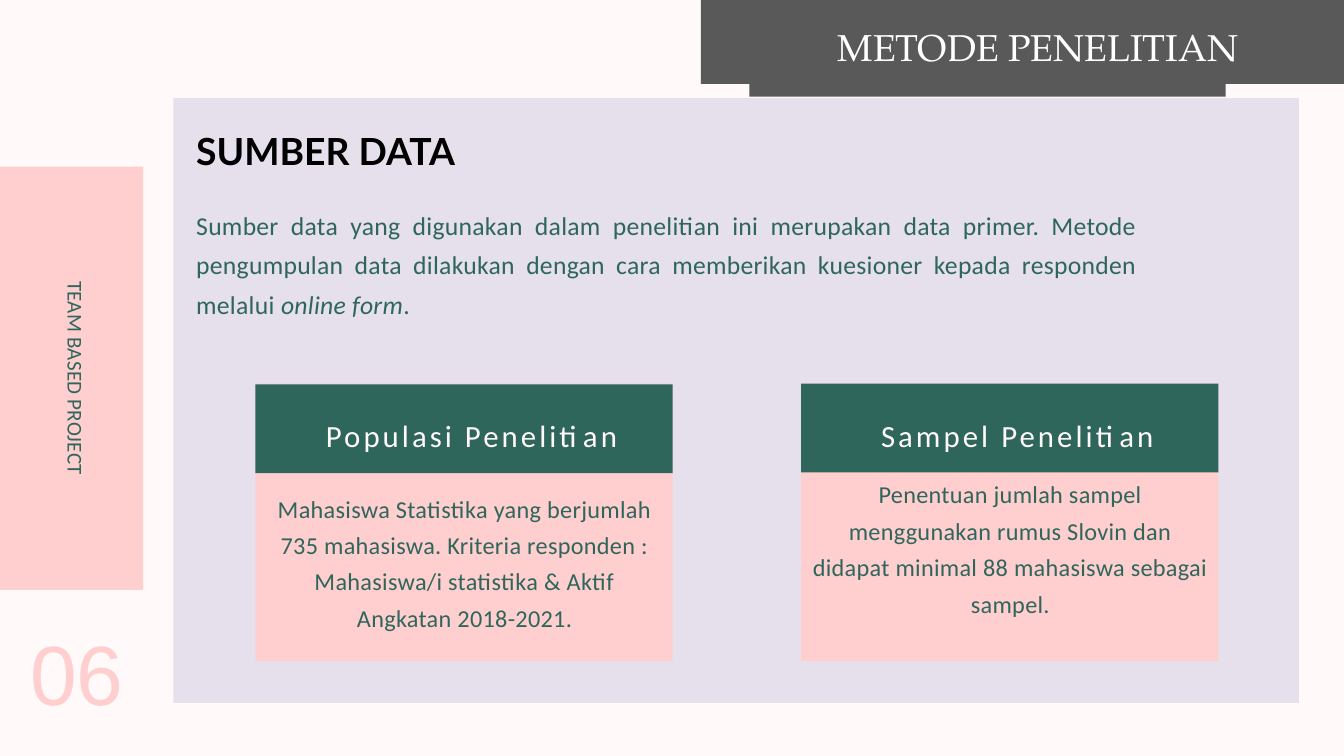
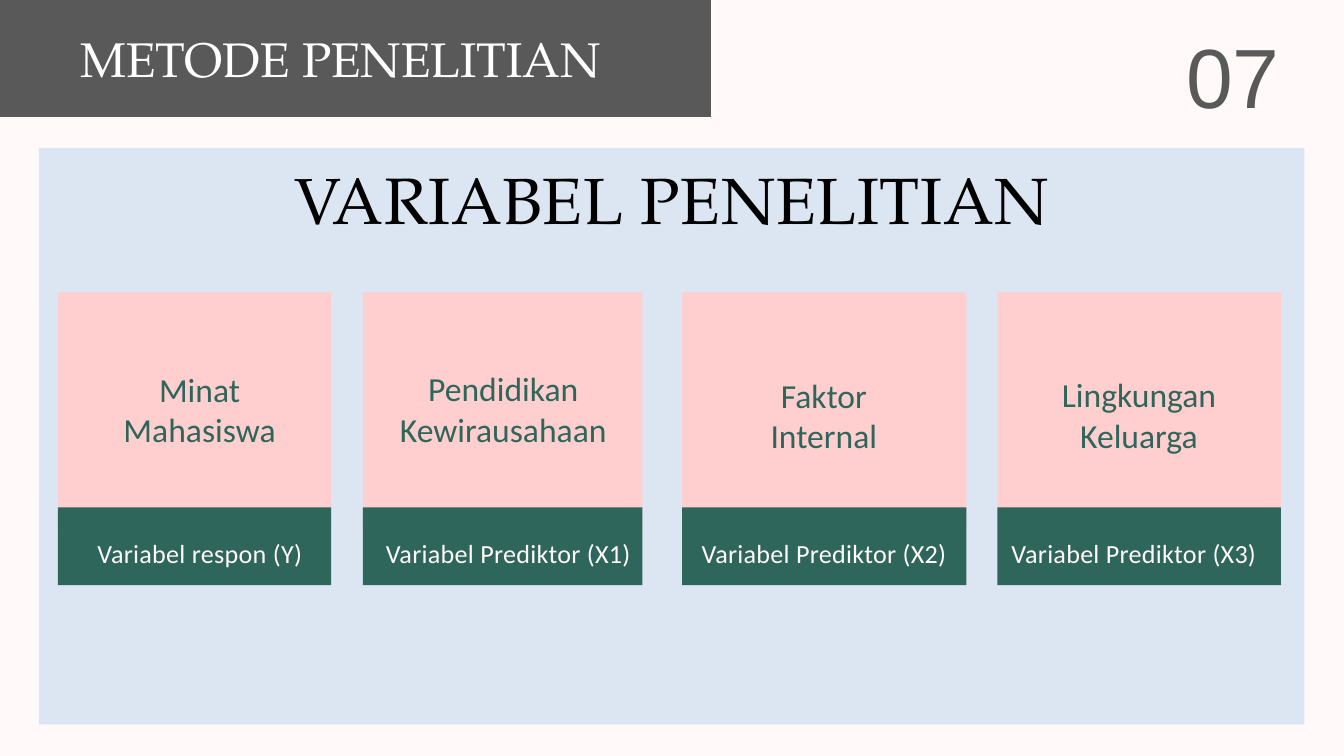
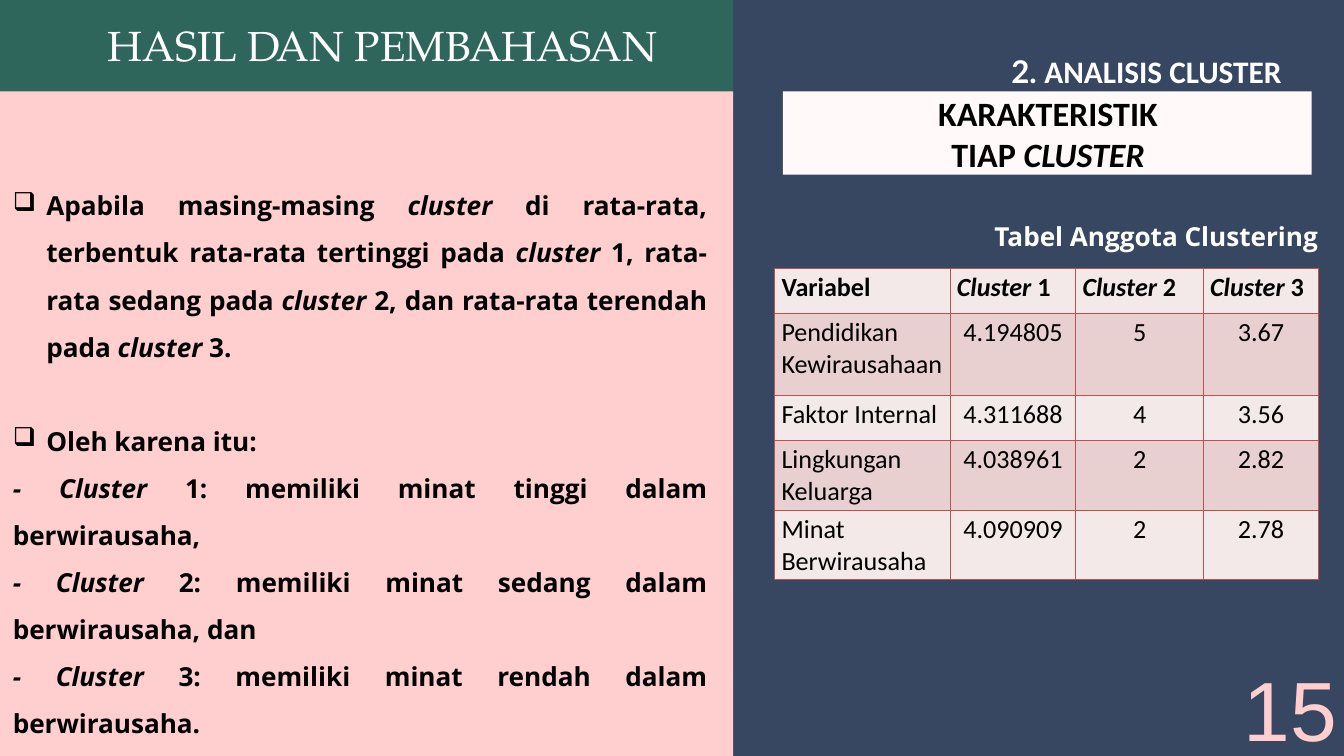
from lxml.etree import SubElement
from pptx import Presentation
from pptx.dml.color import RGBColor
from pptx.enum.shapes import MSO_SHAPE
from pptx.enum.text import MSO_ANCHOR, MSO_AUTO_SIZE, PP_ALIGN
from pptx.oxml.ns import qn
from pptx.util import Inches, Pt

COLORS = {
    "cream": "FFF9F9", "pink": "FFCECE", "green": "2F665C", "gray": "595959",
    "lilac": "E6E0EC", "sky": "DCE6F2", "navy": "374661", "mist": "C5D4D1",
    "white": "FFFFFF", "black": "000000", "red": "C0504D",
    "light_row": "F4E9E9", "dark_row": "E8D0D0",
}
ALIGN = {"l": PP_ALIGN.LEFT, "c": PP_ALIGN.CENTER, "r": PP_ALIGN.RIGHT, "j": PP_ALIGN.JUSTIFY}
SERIF = "TeX Gyre Pagella"


def color(name):
    return RGBColor.from_string(COLORS[name])


def write(paragraph, text, size=28, font="Calibri", ink="black", bold=False,
          align="l", line=None, before=None, spacing=0, bullet=None):
    """Append text to a paragraph; parts between asterisks become italic."""
    paragraph.alignment = ALIGN[align]
    if line:
        paragraph.line_spacing = line
    if before:
        paragraph.space_before = before
    if bullet:
        properties = paragraph._p.get_or_add_pPr()
        properties.set("marL", str(Inches(0.5)))
        properties.set("indent", str(Inches(-0.5)))
        SubElement(properties, qn("a:buChar")).set("char", bullet)
    for index, part in enumerate(text.split("*")):
        if not part:
            continue
        run = paragraph.add_run()
        run.text = part
        run.font.size, run.font.name = Pt(size), font
        run.font.bold, run.font.italic = bold, index % 2 == 1
        run.font.color.rgb = color(ink)
        if spacing:
            run._r.get_or_add_rPr().set("spc", str(round(spacing * 100)))


class Deck:
    def __init__(self):
        self.presentation = Presentation()
        self.presentation.slide_width = Inches(20)
        self.presentation.slide_height = Inches(11.25)
        self.slide = None

    def new_slide(self, background):
        self.slide = self.presentation.slides.add_slide(self.presentation.slide_layouts[6])
        fill = self.slide.background.fill
        fill.solid()
        fill.fore_color.rgb = color(background)

    def box(self, left, top, width, height, fill):
        shape = self.slide.shapes.add_shape(
            MSO_SHAPE.RECTANGLE, Inches(left), Inches(top), Inches(width), Inches(height))
        shape.shadow.inherit = False
        shape.fill.solid()
        shape.fill.fore_color.rgb = color(fill)
        shape.line.fill.background()

    def text(self, left, top, width, height, lines, margins=(0, 0), grow=True, **style):
        """Each line is a string, or a string with its own extra format."""
        shape = self.slide.shapes.add_textbox(
            Inches(left), Inches(top), Inches(width), Inches(height))
        frame = shape.text_frame
        frame.word_wrap = True
        frame.auto_size = MSO_AUTO_SIZE.SHAPE_TO_FIT_TEXT if grow else MSO_AUTO_SIZE.NONE
        frame.margin_left = frame.margin_right = Inches(margins[0])
        frame.margin_top = frame.margin_bottom = Inches(margins[1])
        for index, entry in enumerate([lines] if isinstance(lines, str) else lines):
            content, extra = (entry, {}) if isinstance(entry, str) else entry
            paragraph = frame.add_paragraph() if index else frame.paragraphs[0]
            write(paragraph, content, **{**style, **extra})
        return shape

    def title(self, left, top, width, height, text, size):
        self.text(left, top, width, height, text, size=size, font=SERIF, ink="white",
                  align="c", line=Pt(63 if size == 45 else 72.8))

    def number(self, left, top, text, ink):
        shape = self.text(left, top, 1.85, 1.2, text, margins=(0.1, 0.1), grow=False,
                          size=90, font="Arial", ink=ink, align="c", line=0.9)
        shape.text_frame.vertical_anchor = MSO_ANCHOR.BOTTOM

    def source_card(self, left, top, heading, body, body_top):
        self.box(left, 5.71, 6.21, 4.13, "pink")
        self.box(left, top, 6.21, 1.32, "green")
        self.text(left + 0.53, 6.15, 5.38, 0.57, heading, size=33, ink="cream",
                  align="c", line=Pt(42.9), spacing=3.3)
        self.text(left + 0.16, body_top, 5.91, 2.15, body, size=26, ink="green",
                  align="c", line=Pt(39), spacing=0.3)

    def variable_card(self, left, width, name, name_left, name_top, label, label_left):
        self.box(left, 4.35, width, 3.54, "pink")
        self.box(left, 7.55, width, 1.16, "green")
        self.text(name_left, name_top, 3.66, 1.31, name, margins=(0.1, 0.05),
                  size=36, ink="green", align="c")
        self.text(label_left, 7.84, 4.23, 0.57, label, size=28, ink="cream",
                  align="c", line=Pt(45), spacing=0.3)

    def table(self, left, top, widths, heights, rows):
        table = self.slide.shapes.add_table(
            len(rows), len(widths), Inches(left), Inches(top),
            Inches(sum(widths)), Inches(sum(heights))).table
        table.first_row = table.horz_banding = False
        for column, width in zip(table.columns, widths):
            column.width = Inches(width)
        for row_index, values in enumerate(rows):
            table.rows[row_index].height = Inches(heights[row_index])
            for column_index, value in enumerate(values):
                cell = table.cell(row_index, column_index)
                self.cell_borders(cell)
                cell.fill.solid()
                cell.fill.fore_color.rgb = color("dark_row" if row_index % 2 else "light_row")
                write(cell.text_frame.paragraphs[0], value, bold=row_index == 0,
                      align="c" if row_index and column_index else "l")

    @staticmethod
    def cell_borders(cell):
        properties = cell._tc.get_or_add_tcPr()
        for side in ("lnL", "lnR", "lnT", "lnB"):
            border = SubElement(properties, qn(f"a:{side}"), w=str(Pt(1)))
            fill = SubElement(border, qn("a:solidFill"))
            SubElement(fill, qn("a:srgbClr"), val=COLORS["red"])


def data_source_slide(deck):
    deck.new_slide("cream")
    deck.box(2.58, 1.46, 16.75, 9, "lilac")
    # Side band and number
    deck.box(0, 2.48, 2.13, 6.3, "pink")
    side_label = deck.text(-1.24, 5.41, 4.81, 0.43, "TEAM BASED PROJECT", size=22.5,
                           ink="green", align="c", line=Pt(31.5), spacing=0.2)
    side_label.rotation = 90
    deck.number(0.22, 9.67, "06", "pink")
    # Title band
    deck.box(10.43, -0.13, 10.02, 1.38, "gray")
    deck.box(11.15, 0.84, 7.09, 0.6, "gray")
    deck.title(11.9, 0.01, 7.09, 1.01, "METODE PENELITIAN", 40)
    # Introduction
    deck.text(2.92, 1.92, 5.57, 0.67, "SUMBER DATA", size=40, font="Lato", bold=True,
              line=Pt(47.6))
    deck.text(2.92, 3, 14.01, 1.75,
              "Sumber data yang digunakan dalam penelitian ini merupakan data primer. Metode "
              "pengumpulan data dilakukan dengan cara memberikan kuesioner kepada responden "
              "melalui *online form*.",
              size=27.5, ink="green", align="j", line=Pt(42), spacing=0.3)
    # Population and sample
    deck.source_card(3.8, 5.72, "Populasi Penelitian",
                     "Mahasiswa Statistika yang berjumlah 735 mahasiswa. Kriteria responden : "
                     "Mahasiswa/i statistika & Aktif Angkatan 2018-2021.", 7.24)
    deck.source_card(11.92, 5.71, "Sampel Penelitian",
                     "Penentuan jumlah sampel menggunakan rumus Slovin dan didapat minimal 88 "
                     "mahasiswa sebagai sampel.", 7.03)


def variables_slide(deck):
    deck.new_slide("cream")
    deck.box(0.58, 2.2, 18.83, 8.58, "sky")
    deck.text(3.36, 2.87, 13.28, 0.67, "VARIABEL PENELITIAN", size=70, font=SERIF,
              align="c", line=Pt(47.6), spacing=0.7)
    # Variable cards
    cards = [
        (0.86, 4.07, ["Minat", "Mahasiswa"], 1.14, 5.44, "Variabel respon (Y)", 0.86),
        (5.4, 4.16, ["Pendidikan", "Kewirausahaan"], 5.66, 5.43, "Variabel Prediktor (X1)", 5.45),
        (10.15, 4.23, ["Faktor", "Internal"], 10.43, 5.53, "Variabel Prediktor (X2)", 10.15),
        (14.84, 4.22, ["Lingkungan", "Keluarga"], 15.12, 5.52, "Variabel Prediktor (X3)", 14.76),
    ]
    for card in cards:
        deck.variable_card(*card)
    # Title band and number
    deck.box(-1.1, -0.24, 11.68, 1.98, "gray")
    deck.title(0.94, 0.28, 8.26, 1.01, "METODE PENELITIAN", 52)
    deck.number(17.42, 0.79, "07", "gray")


def cluster_slide(deck):
    deck.new_slide("mist")
    # Panels and title
    deck.box(0.19, 0, 20.53, 11.41, "navy")
    deck.box(-0.77, -0.03, 11.68, 1.41, "green")
    deck.box(-0.03, 1.36, 10.94, 9.89, "pink")
    deck.box(11.65, 1.36, 7.87, 1.24, "cream")
    deck.title(1.56, 0.16, 8.26, 0.88, "HASIL DAN PEMBAHASAN", 45)
    # Section headings
    heading = {"size": 33.5, "ink": "white", "bold": True}
    section = deck.text(15.05, 0.67, 4.57, 0.67, "2. ", font="Lato", line=Pt(47.6), **heading)
    write(section.text_frame.paragraphs[0], "ANALISIS CLUSTER", **heading)
    deck.text(11.7, 1.37, 7.79, 1.17, ["KARAKTERISTIK", "TIAP *CLUSTER*"], size=36.5,
              bold=True, align="c")
    # Findings
    deck.text(0.19, 2.59, 10.33, 6.25, [
        ("Apabila masing-masing *cluster* di rata-rata, terbentuk rata-rata tertinggi pada "
         "*cluster *1, rata-rata sedang pada *cluster *2, dan rata-rata terendah pada "
         "*cluster *3.", {"bullet": "❑"}),
        ("Oleh karena itu:", {"bullet": "❑", "before": Pt(50.4)}),
        "*- Cluster *1: memiliki minat tinggi dalam berwirausaha,",
        "*- Cluster *2: memiliki minat sedang dalam berwirausaha, dan",
        "*- Cluster *3: memiliki minat rendah dalam berwirausaha.",
    ], font="Open Sans", bold=True, align="j", line=1.5)
    # Cluster table
    deck.text(13.45, 3.28, 6.16, 0.47, "Tabel Anggota Clustering", font="Open Sans",
              ink="white", bold=True, align="r")
    deck.table(11.53, 3.99, [2.61, 1.87, 1.9, 1.71], [0.67, 1.22, 0.67, 1.04, 1.04], [
        ["Variabel", "*Cluster* 1", "*Cluster* 2", "*Cluster* 3"],
        ["Pendidikan Kewirausahaan", "4.194805", "5", "3.67"],
        ["Faktor Internal", "4.311688", "4", "3.56"],
        ["Lingkungan Keluarga", "4.038961", "2", "2.82"],
        ["Minat Berwirausaha", "4.090909", "2", "2.78"],
    ])
    deck.number(18.28, 10.21, "15", "pink")


def main():
    deck = Deck()
    data_source_slide(deck)
    variables_slide(deck)
    cluster_slide(deck)
    deck.presentation.save("out.pptx")


if __name__ == "__main__":
    main()
